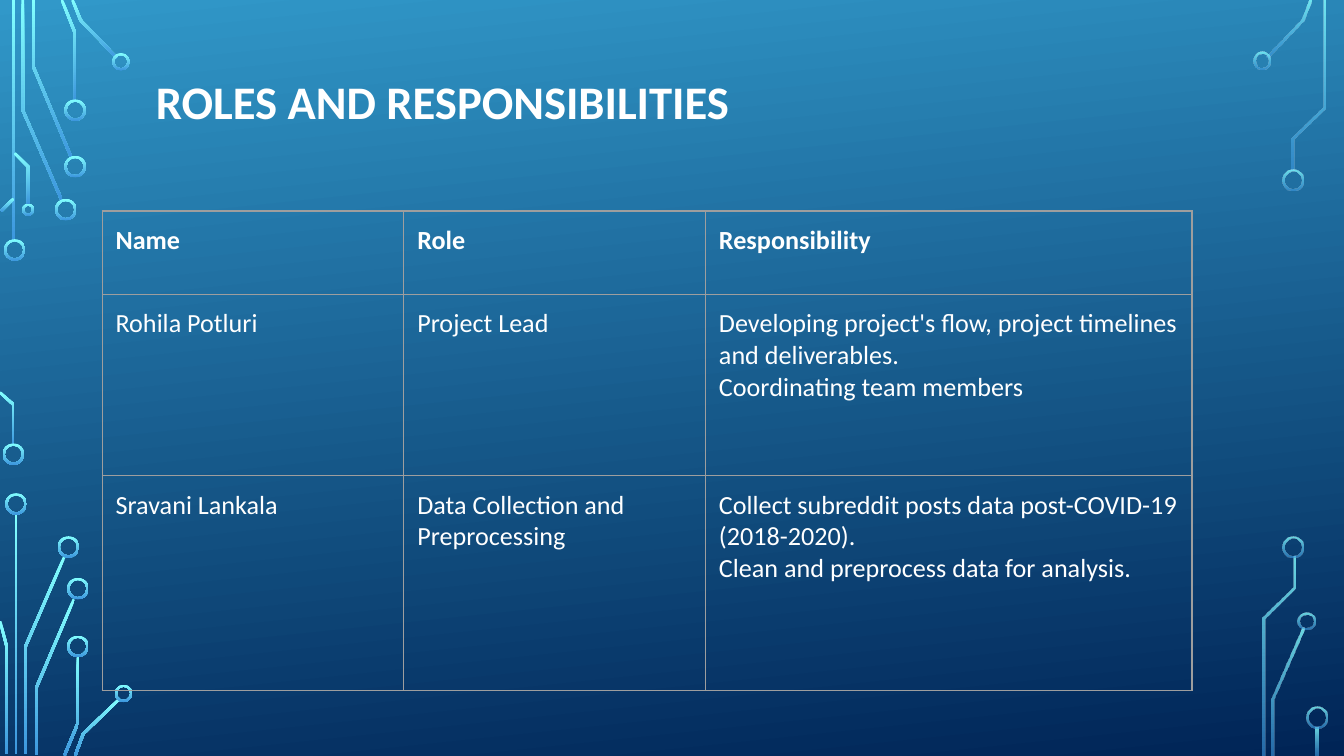
"""Build the roles and responsibilities slide with its circuit border."""
from math import hypot

from lxml.etree import SubElement
from pptx import Presentation
from pptx.dml.color import RGBColor
from pptx.enum.shapes import MSO_SHAPE as Shape
from pptx.enum.text import MSO_ANCHOR as Anchor, PP_ALIGN as Align
from pptx.oxml.ns import qn
from pptx.util import Inches, Pt

WHITE = RGBColor(0xFF, 0xFF, 0xFF)
GRAY = RGBColor(0x9E, 0x9E, 0x9E)
SKY, NAVY = RGBColor(0x31, 0x98, 0xC9), RGBColor(0x00, 0x24, 0x56)
CYAN, BLUE = RGBColor(0x82, 0xFF, 0xFF), RGBColor(0x3D, 0x97, 0xDE)

TITLE = "ROLES AND RESPONSIBILITIES"
ROWS = [
    ["Name", "Role", "Responsibility"],
    ["Rohila Potluri", "Project Lead",
     "Developing project's flow, project timelines and deliverables.\n"
     "Coordinating team members"],
    ["Sravani Lankala", "Data Collection and Preprocessing",
     "Collect subreddit posts data post-COVID-19 (2018-2020).\n"
     "Clean and preprocess data for analysis."],
]
WIDE, LAST = 8.11, 3.62
WIDTHS = [(WIDE - LAST) / 2, (WIDE - LAST) / 2, LAST]
HEIGHTS = [0.62, 1.35, 1.6]
SIDES = ("left", "top", "right", "bottom")

LEFT = {
    "wires": [
        [(0.1, 0), (0.1, 1.79)],
        [(0.17, 0), (0.17, 0.82), (0.46, 1.49)],
        [(0.25, 0), (0.25, 0.5), (0.53, 1.17)],
        [(0.46, 0), (0.56, 0.25), (0.56, 0.75)],
        [(0.54, 0), (0.6, 0.15), (0.87, 0.43)],
        [(0.01, 1.57), (0.1, 1.48)],
        [(0, 2.92), (0.1, 3.01), (0.1, 3.31)],
        [(0.11, 1.14), (0.21, 1.24), (0.21, 1.52)],
        [(0.12, 3.82), (0.12, 5.61)],
        [(0.19, 5.61), (0.19, 4.81), (0.48, 4.14)],
        [(0, 4.62), (0.05, 4.81), (0.05, 5.61)],
        [(0.27, 5.62), (0.27, 5.12), (0.55, 4.46)],
        [(0.48, 5.62), (0.58, 5.38), (0.58, 4.88)],
        [(0.56, 5.62), (0.62, 5.46), (0.89, 5.2)],
    ],
    "rings": [
        (0.11, 1.86, 0.16), (0.1, 3.38, 0.16), (0.49, 1.56, 0.16),
        (0.56, 1.24, 0.16), (0.56, 0.82, 0.16), (0.9, 0.46, 0.13),
        (0.21, 1.56, 0.09), (0.12, 3.75, 0.16), (0.51, 4.07, 0.16),
        (0.58, 4.38, 0.16), (0.58, 4.81, 0.16), (0.92, 5.16, 0.13),
    ],
    "alphas": (100, 100),
}
RIGHT = {
    "wires": [
        [(9.43, 0.42), (9.69, 0.15), (9.75, 0)],
        [(9.47, 5.62), (9.47, 5.2), (9.7, 4.67)],
        [(9.62, 1.27), (9.62, 1.03), (9.85, 0.8), (9.85, 0)],
        [(9.4, 5.62), (9.4, 4.6), (9.63, 4.37), (9.63, 4.14)],
        [(9.8, 5.41), (9.8, 5.62)],
    ],
    "rings": [
        (9.39, 0.45, 0.13), (9.62, 1.34, 0.16), (9.72, 4.62, 0.13),
        (9.62, 4.07, 0.16), (9.8, 5.34, 0.16),
    ],
    "alphas": (80, 60),
}
WIRE, RIM = 0.02, 0.02


def blend(fill, colors, angle):
    fill.gradient()
    fill.gradient_angle = 360 - angle
    for stop, color in zip(fill.gradient_stops, colors):
        stop.color.rgb = color


def glow(shape, alphas):
    shape.shadow.inherit = False
    shape.line.fill.background()
    blend(shape.fill, (CYAN, BLUE), 90)
    for node, alpha in zip(shape.element.spPr.iter(qn("a:srgbClr")), alphas):
        if alpha < 100:
            SubElement(node, qn("a:alpha")).set("val", str(alpha * 1000))


def edges(wire):
    """Return the outline of a band of even width along the wire."""
    norms = []
    for (ax, ay), (bx, by) in zip(wire, wire[1:]):
        size = hypot(bx - ax, by - ay)
        norms.append(((ay - by) / size, (bx - ax) / size))
    one, two = [], []
    for (x, y), (px, py), (qx, qy) in zip(wire, norms[:1] + norms, norms + norms[-1:]):
        scale = WIRE / 2 / (1 + px * qx + py * qy)
        dx, dy = (px + qx) * scale, (py + qy) * scale
        one.append((Inches(x + dx), Inches(y + dy)))
        two.append((Inches(x - dx), Inches(y - dy)))
    return one + two[::-1]


def circuit(shapes, side):
    for wire in side["wires"]:
        start, *rest = edges(wire)
        pen = shapes.build_freeform(*start)
        pen.add_line_segments(rest, close=True)
        glow(pen.convert_to_shape(), side["alphas"])
    for x, y, size in side["rings"]:
        box = [Inches(v) for v in (x - size / 2, y - size / 2, size, size)]
        ring = shapes.add_shape(Shape.DONUT, *box)
        ring.adjustments[0] = RIM / size * 0.8
        glow(ring, side["alphas"])


def inset(part):
    for side in SIDES:
        setattr(part, f"margin_{side}", Inches(0.1))


def write(frame, text, size, bold):
    frame.text = text
    looks = {"name": "Calibri", "size": Pt(size), "bold": bold}
    for para in frame.paragraphs:
        para.alignment = Align.LEFT
        for run in para.runs:
            run.font.color.rgb = WHITE
            for key, value in looks.items():
                setattr(run.font, key, value)


def border(cell):
    props = cell._tc.get_or_add_tcPr()
    for tag in ("a:lnL", "a:lnR", "a:lnT", "a:lnB"):
        line = SubElement(props, qn(tag), w=str(Pt(0.75)))
        fill = SubElement(line, qn("a:solidFill"))
        SubElement(fill, qn("a:srgbClr"), val=str(GRAY))


def grid(shapes):
    box = [Inches(v) for v in (0.76, 1.57, WIDE, sum(HEIGHTS))]
    table = shapes.add_table(len(ROWS), len(WIDTHS), *box).table
    table.first_row = table.horz_banding = False
    for col, width in zip(table.columns, WIDTHS):
        col.width = Inches(width)
    for r, (row, height) in enumerate(zip(ROWS, HEIGHTS)):
        table.rows[r].height = Inches(height)
        for c, text in enumerate(row):
            cell = table.cell(r, c)
            write(cell.text_frame, text, 14, r == 0)
            inset(cell)
            border(cell)
            cell.fill.background()


def main():
    deck = Presentation()
    deck.slide_width = Inches(10)
    deck.slide_height = deck.slide_width * 9 // 16
    slide = deck.slides.add_slide(deck.slide_layouts[5])
    blend(slide.background.fill, (SKY, NAVY), 84)
    circuit(slide.shapes, LEFT)
    circuit(slide.shapes, RIGHT)
    title = slide.shapes.title
    title.left, title.top = Inches(1.06), Inches(0.49)
    title.width, title.height = Inches(8.6), Inches(0.63)
    frame = title.text_frame
    write(frame, TITLE, 25, True)
    inset(frame)
    frame.word_wrap = True
    frame.vertical_anchor = Anchor.TOP
    frame.paragraphs[0].line_spacing = 0.9
    grid(slide.shapes)
    deck.save("out.pptx")


if __name__ == "__main__":
    main()
